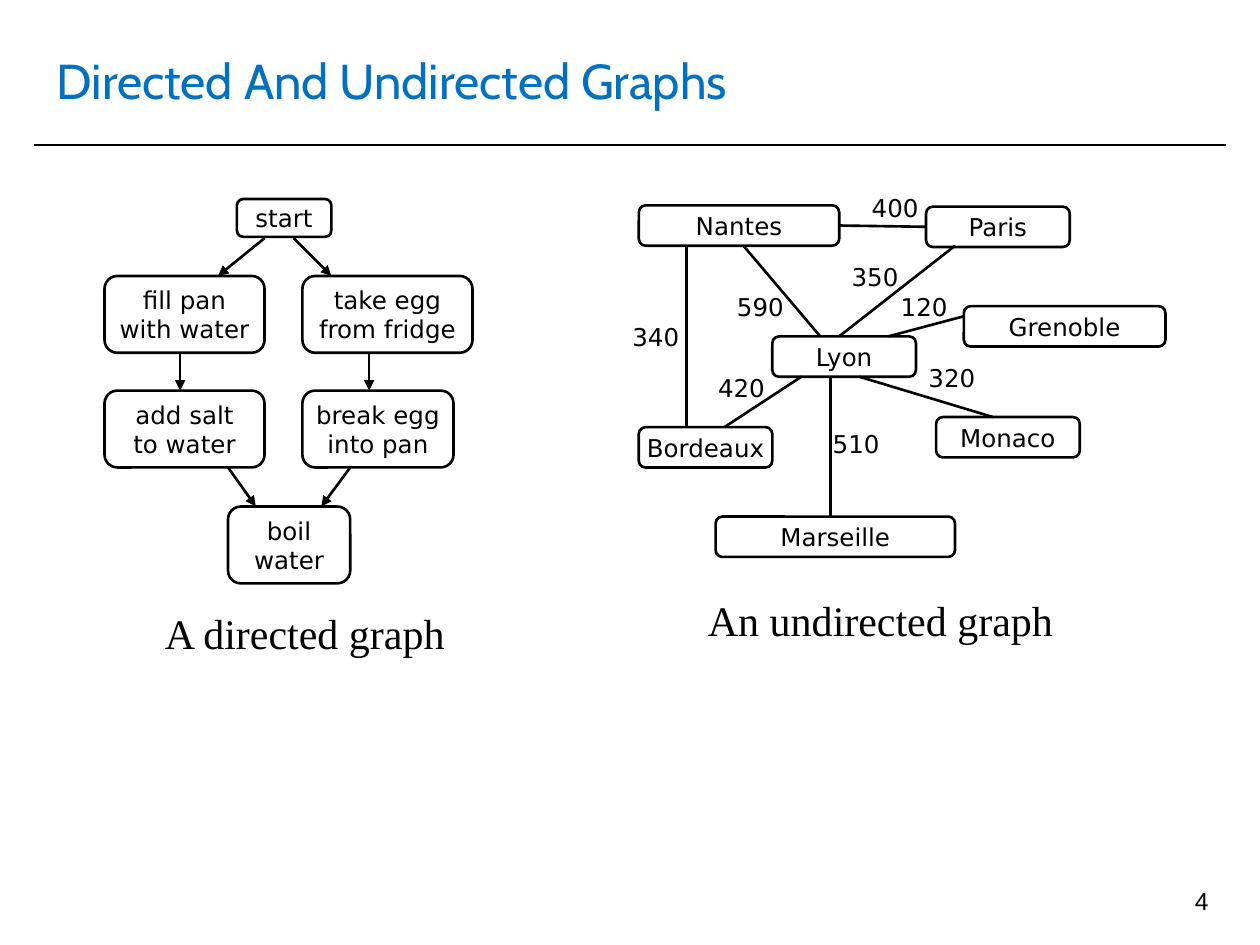
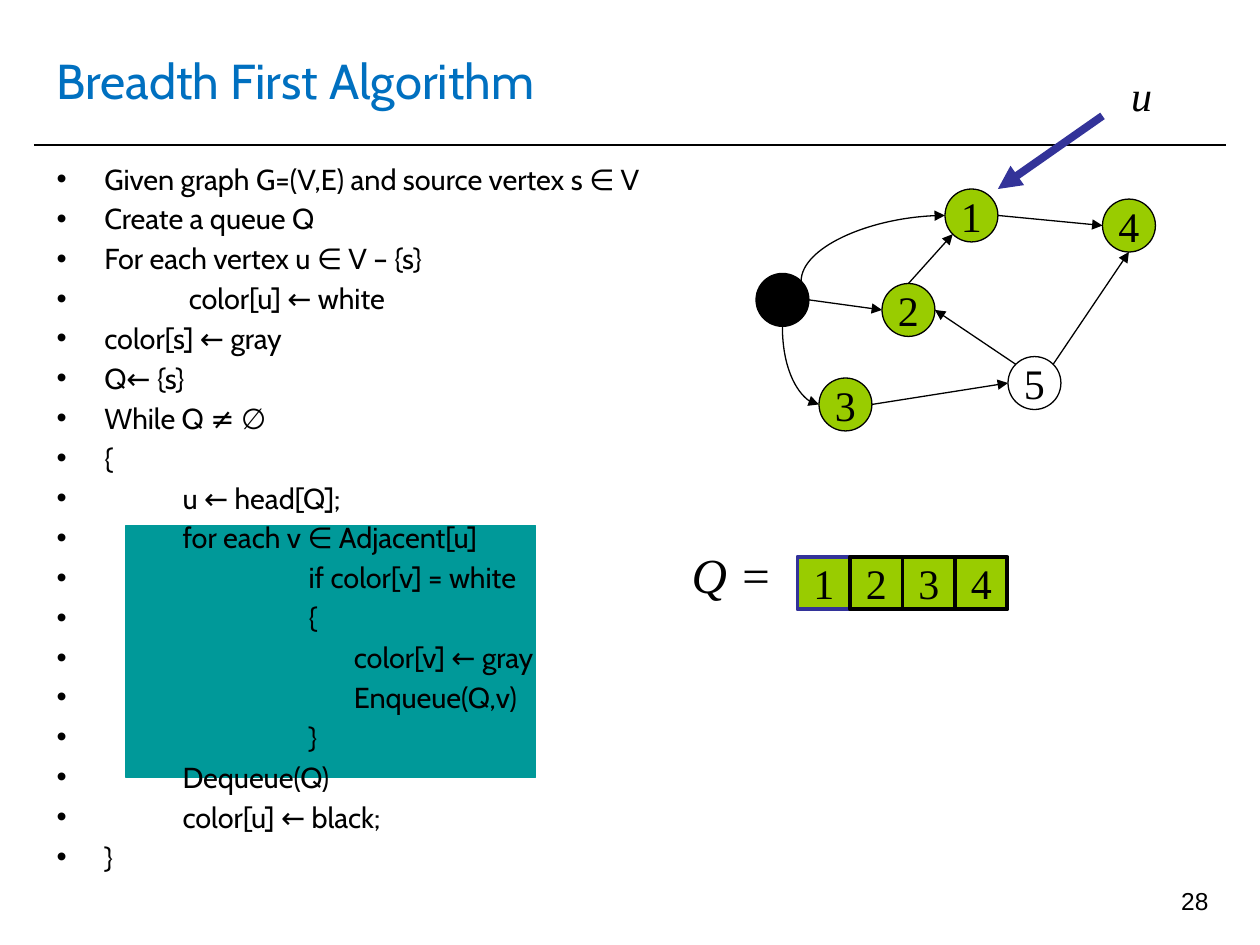
from dataclasses import dataclass
from math import cos, radians, sin

from lxml.etree import SubElement
from pptx import Presentation
from pptx.dml.color import RGBColor
from pptx.enum.shapes import MSO_CONNECTOR, MSO_SHAPE
from pptx.enum.text import MSO_ANCHOR, PP_ALIGN
from pptx.oxml.ns import qn
from pptx.util import Inches, Pt

COLORS = {
    "ink": "000000",
    "title": "0070C0",
    "paper": "FFFFFF",
    "teal": "009999",
    "visited": "99CC00",
    "pointer": "333399",
}
HEADING, LABEL, SERIF, NUMBER = "Cabin", "DejaVu Sans", "Times New Roman", "Arial"
DIAMETER = 0.42
CELL = 5 / 12


@dataclass(frozen=True)
class Node:
    text: str
    left: float
    top: float
    width: float
    height: float


@dataclass(frozen=True)
class Vertex:
    text: str
    left: float
    top: float
    fill: str = "visited"

    def at(self, angle: float) -> tuple[float, float]:
        """Point on the rim; 0 is right, 90 is top."""
        radius = DIAMETER / 2
        turn = radians(angle)
        return (self.left + radius + radius * cos(turn),
                self.top + radius - radius * sin(turn))


@dataclass(frozen=True)
class Distance:
    text: str
    left: float
    top: float


@dataclass(frozen=True)
class CodeLine:
    text: str
    indent: float = 0.38


CITIES = [
    Node("Nantes", 5.07, 1.63, 1.59, 0.32),
    Node("Paris", 7.35, 1.64, 1.14, 0.32),
    Node("Lyon", 6.13, 2.67, 1.14, 0.32),
    Node("Grenoble", 7.65, 2.43, 1.6, 0.32),
    Node("Bordeaux", 5.07, 3.39, 1.06, 0.32),
    Node("Marseille", 5.68, 4.1, 1.9, 0.32),
    Node("Monaco", 7.43, 3.31, 1.14, 0.32),
]
ROADS = [
    ((5.45, 1.95), (5.45, 3.39)),
    ((6.51, 2.67), (5.9, 1.95)),
    ((6.66, 2.67), (7.58, 1.95)),
    ((7.05, 2.67), (7.65, 2.51)),
    ((6.82, 2.99), (7.88, 3.31)),
    ((6.59, 2.99), (6.59, 4.1)),
    ((5.75, 3.39), (6.36, 2.99)),
]
DISTANCES = [
    Distance("400", 6.82, 1.48),
    Distance("340", 4.92, 2.51),
    Distance("590", 5.75, 2.27),
    Distance("420", 5.6, 2.91),
    Distance("350", 6.66, 2.03),
    Distance("120", 7.05, 2.27),
    Distance("320", 7.27, 2.83),
    Distance("510", 6.51, 3.36),
]
STEPS = [
    Node("start", 1.88, 1.58, 0.75, 0.3),
    Node("fill pan\nwith water", 0.83, 2.19, 1.27, 0.61),
    Node("take egg\nfrom fridge", 2.4, 2.19, 1.35, 0.61),
    Node("break egg\ninto pan", 2.4, 3.1, 1.2, 0.61),
    Node("boil\nwater", 1.81, 4.02, 0.97, 0.61),
    Node("add salt\nto water", 0.83, 3.1, 1.27, 0.61),
]
STEP_ARROWS = [
    ((2.1, 1.89), (1.73, 2.19)),
    ((2.33, 1.89), (2.63, 2.19)),
    ((1.43, 2.8), (1.43, 3.1)),
    ((2.93, 2.8), (2.93, 3.1)),
    ((2.78, 3.71), (2.55, 4.02)),
    ((1.81, 3.71), (2.03, 4.02)),
]

SOURCE = Vertex("", 6, 2.17, "ink")
ONE = Vertex("1", 7.5, 1.5)
TWO = Vertex("2", 7, 2.25)
THREE = Vertex("3", 6.5, 3)
FOUR = Vertex("4", 8.75, 1.58)
FIVE = Vertex("5", 8, 2.83, "paper")
EDGES = [
    (SOURCE.at(0), TWO.at(180)),
    (ONE.at(0), FOUR.at(180)),
    (THREE.at(0), FIVE.at(180)),
    (FIVE.at(135), TWO.at(0)),
    (TWO.at(90), ONE.at(225)),
    (FIVE.at(45), FOUR.at(270)),
]
CURVES = [(ONE.at(180), SOURCE.at(45)), (THREE.at(180), SOURCE.at(270))]

ALGORITHM = [
    CodeLine("Given graph G=(V,E) and source vertex s ∈ V"),
    CodeLine("Create a queue Q"),
    CodeLine("For each vertex u ∈ V – {s}"),
    CodeLine("color[u] ← white", 1.05),
    CodeLine("color[s] ← gray"),
    CodeLine("Q← {s}"),
    CodeLine("While Q ≠ ∅"),
    CodeLine("{"),
    CodeLine("u ← head[Q];", 1),
    CodeLine("for each v ∈ Adjacent[u]", 1),
    CodeLine("if color[v] = white", 2),
    CodeLine("{", 2),
    CodeLine("color[v] ← gray", 2.36),
    CodeLine("Enqueue(Q,v)", 2.36),
    CodeLine("}", 2),
    CodeLine("Dequeue(Q)", 1),
    CodeLine("color[u] ← black;", 1),
    CodeLine("}"),
]


def rgb(name: str) -> RGBColor:
    return RGBColor.from_string(COLORS[name])


def write(box, text: str, *, size: float, font: str, color: str = "ink",
          align=PP_ALIGN.LEFT, anchor=MSO_ANCHOR.TOP, wrap: bool = True,
          italic: bool = False) -> None:
    """Fill a shape with formatted text, one paragraph per line."""
    frame = box.text_frame
    frame.text = text
    frame.word_wrap = wrap
    frame.vertical_anchor = anchor
    for para in frame.paragraphs:
        para.alignment = align
        for span in para.runs:
            span.font.size = Pt(size)
            span.font.name = font
            span.font.italic = italic
            span.font.color.rgb = rgb(color)


def add_label(page, text: str, left: float, top: float, width: float,
              height: float, **style):
    box = page.shapes.add_textbox(Inches(left), Inches(top), Inches(width), Inches(height))
    write(box, text, **style)
    return box


def add_box(page, kind, left: float, top: float, width: float, height: float,
            text: str = "", *, fill: str = "", line: str = "ink",
            weight: float = 0.75, size: float = 24, font: str = SERIF):
    """Draw an outlined preset shape with centred text."""
    box = page.shapes.add_shape(kind, Inches(left), Inches(top), Inches(width), Inches(height))
    box.shadow.inherit = False
    if fill:
        box.fill.solid()
        box.fill.fore_color.rgb = rgb(fill)
    else:
        box.fill.background()
    box.line.color.rgb = rgb(line)
    box.line.width = Pt(weight)
    if text:
        write(box, text, size=size, font=font, align=PP_ALIGN.CENTER,
              anchor=MSO_ANCHOR.MIDDLE, wrap=False)
    return box


def add_line(page, start: tuple[float, float], end: tuple[float, float], *,
             color: str = "ink", weight: float = 1.5, arrow: str = "",
             curved: bool = False):
    """Draw a connector; arrow is headEnd (at start) or tailEnd (at end)."""
    kind = MSO_CONNECTOR.CURVE if curved else MSO_CONNECTOR.STRAIGHT
    line = page.shapes.add_connector(kind, *(Inches(value) for value in (*start, *end)))
    line.line.color.rgb = rgb(color)
    line.line.width = Pt(weight)
    properties = line._element.spPr
    if curved:
        properties.find(qn("a:prstGeom")).set("prst", "curvedConnector2")
    if arrow:
        SubElement(properties.find(qn("a:ln")), qn(f"a:{arrow}"), type="triangle")
    SubElement(properties, qn("a:effectLst"))
    return line


def add_page(deck, title: str, number: int):
    page = deck.slides.add_slide(deck.slide_layouts[6])
    add_line(page, (0.27, 1.15), (9.73, 1.15), weight=1)
    add_label(page, title, 0.35, 0.21, 9.29, 0.85, size=28, font=HEADING,
              color="title", anchor=MSO_ANCHOR.MIDDLE)
    add_label(page, str(number), 7.36, 6.98, 2.33, 0.52, size=14, font=NUMBER,
              align=PP_ALIGN.RIGHT)
    return page


def add_nodes(page, nodes: list[Node], kind) -> dict:
    return {
        node.text: add_box(page, kind, node.left, node.top, node.width, node.height,
                           node.text, weight=1.5, size=14, font=LABEL)
        for node in nodes
    }


def add_algorithm(page) -> None:
    text = "\n".join(line.text for line in ALGORITHM)
    box = add_label(page, text, 0.35, 1.23, 9.29, 5.59, size=16.5, font=HEADING)
    for para, line in zip(box.text_frame.paragraphs, ALGORITHM):
        para.space_before = Pt(3)
        properties = para._p.get_or_add_pPr()
        properties.set("marL", str(Inches(line.indent)))
        properties.set("indent", str(-Inches(line.indent)))
        SubElement(properties, qn("a:buFont"), typeface=NUMBER)
        SubElement(properties, qn("a:buChar"), char="•")


def build_graph_kinds(deck) -> None:
    page = add_page(deck, "Directed And Undirected Graphs", 4)
    cities = add_nodes(page, CITIES, MSO_SHAPE.ROUNDED_RECTANGLE)
    for start, end in ROADS:
        add_line(page, start, end)
    road = add_line(page, (6.66, 1.8), (7.35, 1.8))
    road.begin_connect(cities["Nantes"], 3)
    road.end_connect(cities["Paris"], 1)
    for distance in DISTANCES:
        add_label(page, distance.text, distance.left, distance.top, 0.61, 0.33,
                  size=14, font=LABEL)
    add_label(page, "An undirected graph", 5.52, 4.67, 3.04, 0.5, size=24, font=SERIF)

    add_nodes(page, STEPS, MSO_SHAPE.FLOWCHART_ALTERNATE_PROCESS)
    for start, end in STEP_ARROWS:
        add_line(page, start, end, arrow="tailEnd")
    add_label(page, "A directed graph", 1.21, 4.77, 2.54, 0.5, size=24, font=SERIF)


def build_breadth_first(deck) -> None:
    page = add_page(deck, "Breadth First Algorithm", 28)
    add_box(page, MSO_SHAPE.RECTANGLE, 1, 4.17, 3.25, 2, fill="teal", line="teal")
    for vertex in (SOURCE, ONE, TWO, THREE, FOUR, FIVE):
        add_box(page, MSO_SHAPE.OVAL, vertex.left, vertex.top, DIAMETER, DIAMETER,
                vertex.text, fill=vertex.fill)
    for start, end in EDGES:
        add_line(page, start, end, weight=0.75, arrow="tailEnd")
    for start, end in CURVES:
        add_line(page, start, end, weight=0.75, arrow="headEnd", curved=True)
    add_line(page, (7.92, 1.5), (8.75, 0.92), color="pointer", weight=4.5, arrow="headEnd")
    add_label(page, "u", 8.88, 0.5, 0.37, 0.5, size=24, font=SERIF, italic=True, wrap=False)

    add_label(page, "Q =", 5.39, 4.27, 0.84, 0.57, size=28, font=SERIF, italic=True, wrap=False)
    for index, vertex in enumerate((ONE, TWO, THREE, FOUR)):
        add_box(page, MSO_SHAPE.RECTANGLE, 6.33 + index * CELL, 4.42, CELL, CELL,
                vertex.text, fill="visited", weight=2.25,
                line="pointer" if index == 0 else "ink")
    add_algorithm(page)


def main() -> None:
    deck = Presentation()
    deck.slide_width = Inches(10)
    deck.slide_height = Inches(7.5)
    build_graph_kinds(deck)
    build_breadth_first(deck)
    deck.save("out.pptx")


if __name__ == "__main__":
    main()
